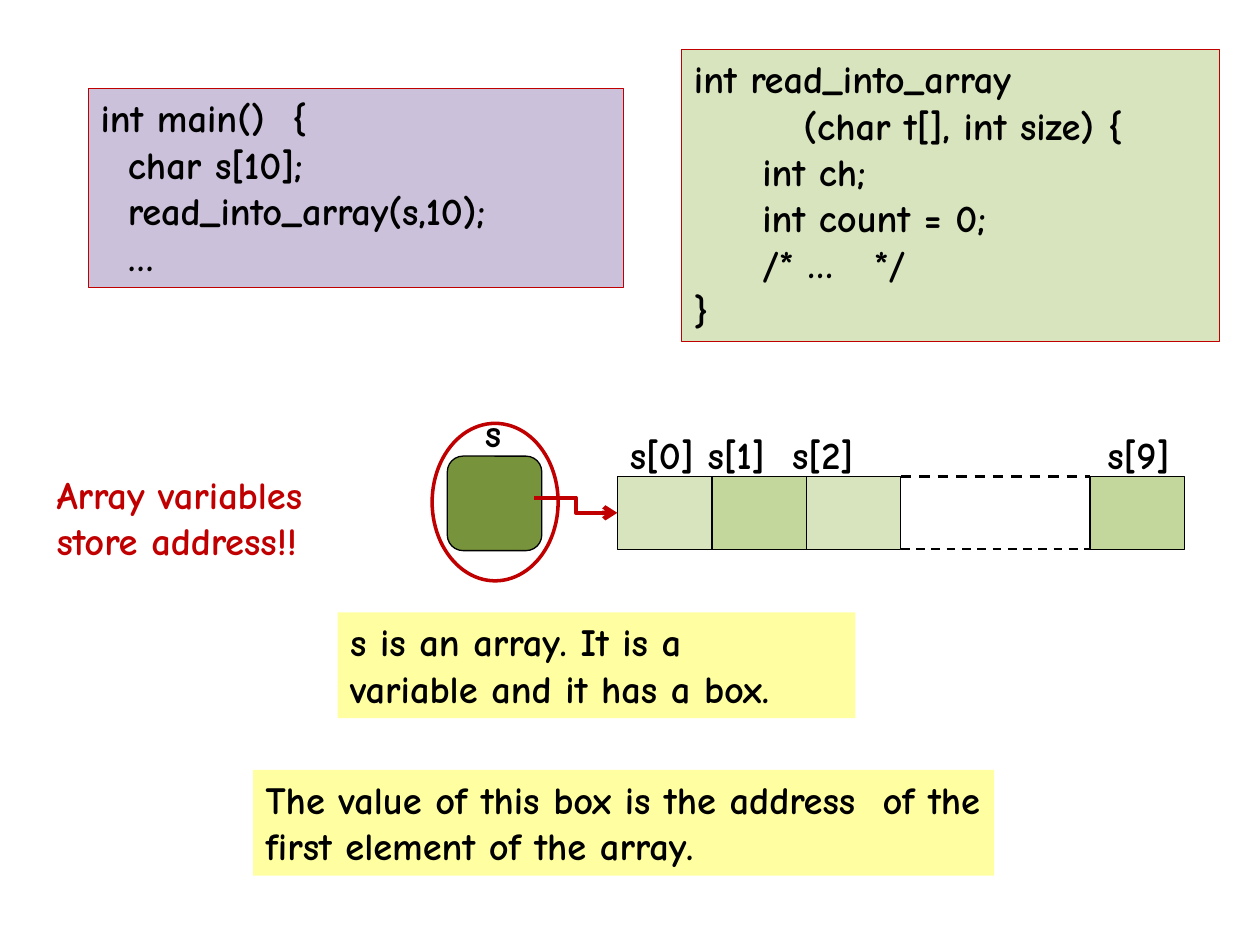
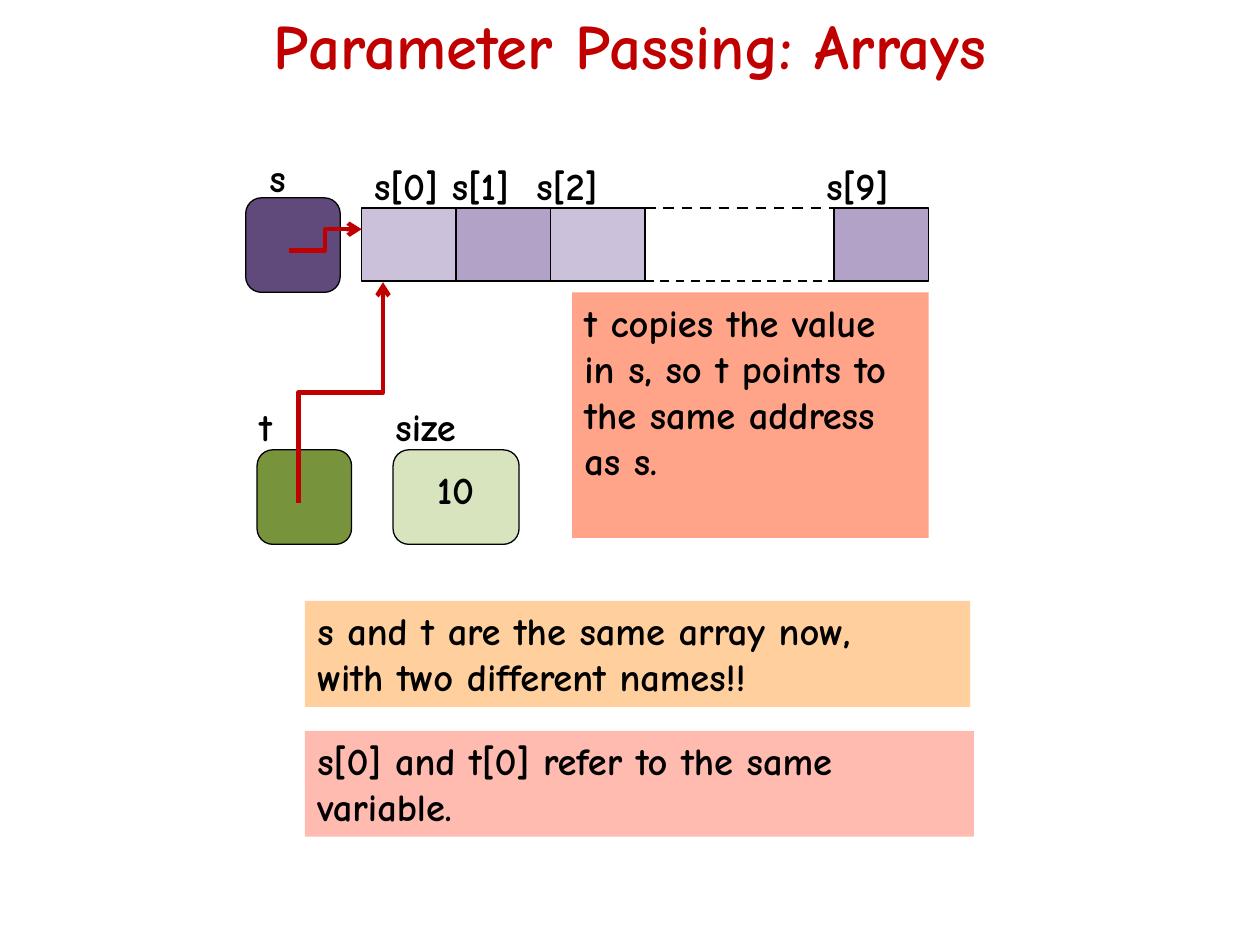
from pptx import Presentation
from pptx.dml.color import RGBColor as Rgb
from pptx.enum.dml import MSO_LINE as Dash
from pptx.enum.shapes import MSO_CONNECTOR as Link, MSO_SHAPE as Shape
from pptx.enum.text import MSO_ANCHOR as Anchor, PP_ALIGN as Align
from pptx.oxml.ns import qn
from pptx.util import Inches, Pt
from lxml.etree import SubElement

FONT = "Comic Neue"
HUES = {
    "black": "000000", "red": "C00000", "yellow": "FFFFA1",
    "lime": "D7E4BD", "green": "C3D69B", "moss": "77933C",
    "lilac": "CCC1DA", "mauve": "B3A2C7", "plum": "604A7B",
    "salmon": "FFA488", "peach": "FFCF9D", "pink": "FFBBB0",
}
INK = {name: Rgb.from_string(code) for name, code in HUES.items()}


def add_box(page, at, lines=(), fill=None, edge=None, kind=Shape.RECTANGLE,
            width=0.75, ink="black", size=22, align=Align.LEFT):
    at = [Inches(n) for n in at]
    if fill or edge:
        box = page.shapes.add_shape(kind, *at)
        box.shadow.inherit = False
    else:
        box = page.shapes.add_textbox(*at)
    if fill:
        box.fill.solid()
        box.fill.fore_color.rgb = INK[fill]
    else:
        box.fill.background()
    if edge:
        box.line.color.rgb = INK[edge]
        box.line.width = Pt(width)
    else:
        box.line.fill.background()
    frame = box.text_frame
    frame.word_wrap = True
    frame.vertical_anchor = Anchor.TOP
    for i, line in enumerate(lines):
        para = frame.paragraphs[0] if i == 0 else frame.add_paragraph()
        para.alignment = align
        run = para.add_run()
        run.text = line
        font = run.font
        font.name, font.size, font.bold = FONT, Pt(size), True
        font.color.rgb = INK[ink]


def add_line(page, ends, kind=Link.STRAIGHT, ink="black", width=1.5, turn=0):
    line = page.shapes.add_connector(kind, *[Inches(n) for n in ends])
    line.line.color.rgb = INK[ink]
    line.line.width = Pt(width)
    props = line._element.spPr
    if kind == Link.ELBOW:
        SubElement(props.find(qn("a:ln")), qn("a:tailEnd"), type="arrow")
    else:
        line.line.dash_style = Dash.DASH
    if turn:
        props.find(qn("a:xfrm")).set("rot", str(turn * 60000))
    SubElement(props, qn("a:effectLst"))


deck = Presentation()
deck.slide_width, deck.slide_height = Inches(10), Inches(7.5)
blank = deck.slide_layouts[6]
call, share = [deck.slides.add_slide(blank) for _ in range(2)]

# Array s on both slides: row of cells, box for s, arrow to s[0]
CELL, HIGH = 0.75, 0.58
arrays = [
    (call, 4.9, 3.78, "lime", "green", 8.69,
     (3.55, 3.62), "moss", (3.75, 3.2), (4.24, 3.95, 4.9, 4.07)),
    (share, 2.87, 1.65, "lilac", "mauve", 6.46,
     (1.95, 1.57), "plum", (2.04, 1.17), (2.29, 1.99, 2.87, 1.82)),
]
for page, x, y, pale, deep, last, spot, dark, tag, path in arrays:
    for col, fill in (0, pale), (1, deep), (2, pale), (5, deep):
        add_box(page, (x + col * CELL, y, CELL, HIGH), fill=fill, edge="black")
    for level, width in (y, 1.5), (y + HIGH, 1.25):
        add_line(page, (x + 3 * CELL, level, x + 5 * CELL, level), width=width)
    add_box(page, (x, y - 0.41, 2.58, 0.47), ["s[0] s[1]  s[2]"])
    add_box(page, (last, y - 0.41, 0.77, 0.47), ["s[9]"])
    add_box(page, (*spot, 0.75, 0.75), fill=dark, edge="black",
            kind=Shape.ROUNDED_RECTANGLE)
    add_box(page, (*tag, 0.35, 0.47), ["s"])
    add_line(page, path, Link.ELBOW, "red", 2.5)

# Slide 1: code
add_box(call, (0.7, 0.7, 4.25, 1.58), [
    "int main()  {",
    "  char s[10];",
    "  read_into_array(s,10);",
    "  …",
], "lilac", "red")
add_box(call, (5.41, 0.39, 4.27, 2.32), [
    "int read_into_array",
    "        (char t[], int size) {",
    "     int ch;",
    "     int count = 0;",
    "     /* …   */",
    "}",
], "lime", "red")

# Slide 1: ring around s and remarks
add_box(call, (3.43, 3.36, 1, 1.25), edge="red", kind=Shape.OVAL, width=2)
add_box(call, (2.01, 6.11, 5.88, 0.84),
        ["The value of this box is the address  of the first element of the array."],
        "yellow")
add_box(call, (2.68, 4.86, 4.11, 0.84),
        ["s is an array. It is a", "variable and it has a box."], "yellow")
add_box(call, (0.35, 3.69, 2.65, 0.84),
        ["Array variables", "store address!!"], ink="red")

# Slide 2: title
add_box(share, (0, 0, 10, 0.71), ["Parameter Passing: Arrays"],
        ink="red", size=36, align=Align.CENTER)

# Slide 2: parameters t and size
for name, x, wide, fill in ("t", 2.04, 0.75, "moss"), ("size", 3.12, 1, "lime"):
    add_box(share, (x - 0.08, 3.15, 0.35 if name == "t" else 0.91, 0.47), [name])
    add_box(share, (x, 3.57, wide, 0.75), fill=fill, edge="black",
            kind=Shape.ROUNDED_RECTANGLE)
add_box(share, (3.37, 3.65, 0.58, 0.47), ["10"])
add_line(share, (3.58, 3.45, 1.83, 2.78), Link.ELBOW, "red", 2.5, turn=90)

# Slide 2: remarks
add_box(share, (4.54, 2.32, 2.83, 1.95),
        ["t copies the value in s, so t points to the same address as s."], "salmon")
add_box(share, (2.42, 4.77, 5.28, 0.84),
        ["s and t are the same array now,", "with two different names!!"], "peach")
add_box(share, (2.42, 5.8, 5.31, 0.84),
        ["s[0] and t[0] refer to the same variable."], "pink")

deck.save("out.pptx")
